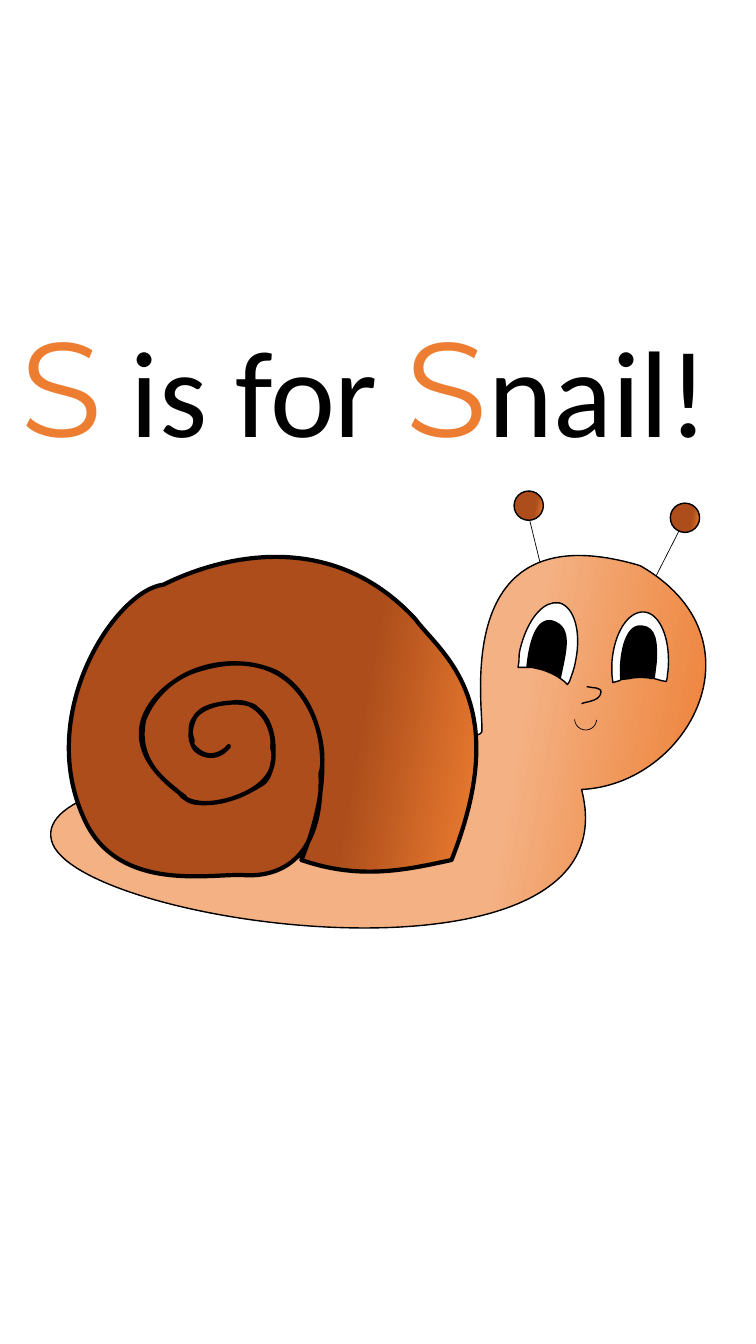
from dataclasses import dataclass
from math import cos, radians, sin

from lxml import etree
from pptx import Presentation
from pptx.dml.color import RGBColor
from pptx.enum.shapes import MSO_CONNECTOR, MSO_SHAPE
from pptx.enum.text import MSO_ANCHOR, MSO_AUTO_SIZE, PP_ALIGN
from pptx.oxml.ns import qn
from pptx.util import Pt

STRAIGHT = MSO_CONNECTOR.STRAIGHT
ELLIPSE, ARC = MSO_SHAPE.OVAL, MSO_SHAPE.ARC
TOP, CENTER, NO_AUTOFIT = MSO_ANCHOR.TOP, PP_ALIGN.CENTER, MSO_AUTO_SIZE.NONE

EMU_PER_PX = 9144  # 100 px to the inch
SLIDE_W, SLIDE_H = 750, 1333
CURVE_STEPS = 20


@dataclass(frozen=True)
class Theme:
    orange: str = "ED7D31"
    skin: tuple = ("ED7D31", "F4B183")
    shell: tuple = ("ED7D31", "AC4D1B")
    black: str = "000000"
    white: str = "FFFFFF"
    initial_font: str = "Montserrat"
    text_font: str = "Calibri"
    initial_size: int = 96
    text_size: int = 88
    thin: float = 0.5
    normal: float = 1
    thick: float = 3


# Outlines: a start point, then segments of two numbers (line) or six (Bézier curve).
BODY = [(478, 726), (481, 707, 443, 504, 635, 561), (761, 633, 684, 778, 577, 783),
        (633, 997, 70, 918, 51, 833), (31, 747, 475, 745, 478, 726)]
SHELL = [(273, 666), (226, 646, 163, 663, 143, 714), (133, 762, 176, 781, 180, 789),
         (189, 798, 219, 804, 261, 777), (274, 768, 278, 719, 255, 703),
         (247, 691, 177, 694, 191, 734), (187, 745, 213, 760, 227, 740),
         (230, 738, 212, 759, 195, 743), (183, 734, 192, 713, 195, 709),
         (199, 705, 204, 699, 229, 697), (258, 691, 273, 725, 270, 741),
         (284, 792, 188, 807, 183, 790), (93, 727, 167, 673, 195, 665),
         (307, 629, 327, 743, 318, 767), (321, 857, 273, 870, 242, 868),
         (210, 866, 116, 887, 83, 811), (35, 705, 116, 585, 162, 580),
         (218, 552, 328, 523, 412, 614), (436, 647, 511, 694, 448, 853),
         (402, 863, 357, 873, 299, 853), (343, 745, 309, 685, 273, 666)]
RIGHT_PUPIL = [(634, 621), (635, 620, 636, 620, 637, 621), (651, 622, 652, 638, 651, 657),
               (649, 673), (646, 673), (643, 672, 639, 672, 636, 672),
               (632, 672, 628, 672, 625, 673), (616, 674), (614, 656, 618, 623, 634, 621)]
RIGHT_WHITE = [(639, 607), (654, 608, 665, 632, 663, 662), (663, 665, 662, 669, 662, 672),
               (661, 676), (656, 675), (649, 673), (651, 657), (652, 638, 651, 622, 637, 621),
               (619, 618, 614, 655, 616, 674), (615, 675), (608, 677), (607, 668),
               (607, 665, 607, 661, 607, 658), (609, 628, 623, 606, 639, 607)]
LEFT_PUPIL = [(545, 616), (546, 616, 547, 616, 548, 616), (569, 622, 561, 647, 556, 672),
              (556, 673), (553, 671), (548, 668, 543, 666, 537, 664),
              (534, 663, 531, 663, 528, 662), (523, 662), (523, 660),
              (525, 642, 530, 616, 545, 616)]
LEFT_WHITE = [(549, 598), (551, 598, 553, 598, 555, 598), (570, 602, 577, 627, 571, 656),
              (570, 663, 567, 670, 565, 676), (563, 679), (560, 676), (556, 673), (556, 672),
              (561, 647, 569, 622, 548, 616), (531, 612, 525, 641, 523, 660), (523, 662),
              (519, 662), (514, 662), (515, 655), (515, 651, 515, 648, 516, 644),
              (522, 619, 535, 600, 549, 598)]
NOSE = [(582, 681), (589, 683, 598, 681, 596, 688), (594, 696, 580, 696, 577, 698)]
LEFT_EYE_TILT = 15.3


def px(*lengths):
    return [round(length * EMU_PER_PX) for length in lengths]


def extent(segments):
    """Return the top left and bottom right corners of an outline's box."""
    points = list(segments[0])
    for segment in segments[1:]:
        a, d = points[-1], segment[-1]
        if len(segment) == 3:
            b, c = segment[:2]
            for step in range(1, CURVE_STEPS):
                t = step / CURVE_STEPS
                u = 1 - t
                points.append(a * u**3 + 3 * b * u * u * t + 3 * c * u * t * t + d * t**3)
        points.append(d)
    xs, ys = [p.real for p in points], [p.imag for p in points]
    return complex(min(xs), min(ys)), complex(max(xs), max(ys))


def untilt(outline, degrees):
    """Turn an outline back so that rotating its box by degrees puts it in place."""
    turn = complex(cos(radians(degrees)), sin(radians(degrees)))
    upright = [[complex(x, y) / turn for x, y in zip(segment[::2], segment[1::2])]
               for segment in outline]
    middle = sum(extent(upright)) / 2
    return [[p - middle + middle * turn for p in segment] for segment in upright]


def write(paragraph, text, *, font, size, color):
    run = paragraph.add_run()
    run.text = text
    run.font.name = font
    run.font.size = Pt(size)
    run.font.color.rgb = RGBColor.from_string(color)


class Sketch:
    """Draws on one slide in one theme; the artwork goes into a group."""

    def __init__(self, slide, theme):
        self.slide, self.theme = slide, theme
        self.art = slide.shapes.add_group_shape().shapes

    def title(self, left, top, width, height, parts):
        title = self.slide.shapes.title
        title.left, title.top, title.width, title.height = px(left, top, width, height)
        frame = title.text_frame
        frame.word_wrap, frame.auto_size, frame.vertical_anchor = True, NO_AUTOFIT, TOP
        heading = frame.paragraphs[0]
        heading.alignment = CENTER
        for text, style in parts:
            write(heading, text, **style)

    def outline(self, item, width):
        item.line.color.rgb = RGBColor.from_string(self.theme.black)
        item.line.width = Pt(width)

    def finish(self, shape, fill, width):
        """Fill with one colour, a pair as a gradient, or nothing; then outline."""
        shape.shadow.inherit = False
        self.outline(shape, width)
        if fill is None:
            shape.fill.background()
        elif isinstance(fill, tuple):
            shape.fill.gradient()
            shape.fill.gradient_angle = 170
            for stop, color, position in zip(shape.fill.gradient_stops, fill, (0, 0.31)):
                stop.color.rgb = RGBColor.from_string(color)
                stop.position = position
        else:
            shape.fill.solid()
            shape.fill.fore_color.rgb = RGBColor.from_string(fill)

    def line(self, *ends):
        stalk = self.art.add_connector(STRAIGHT, *px(*ends))
        self.outline(stalk, self.theme.thin)
        etree.SubElement(stalk._element.spPr, qn("a:effectLst"))

    def preset(self, kind, box, fill, width):
        shape = self.art.add_shape(kind, *px(*box))
        self.finish(shape, fill, width)
        return shape

    def freeform(self, outline, fill, width, tilt=0):
        """Size a freeform by its box, then give it the outline's lines and curves."""
        segments = untilt(outline, tilt)
        first, last = extent(segments)
        builder = self.art.build_freeform(*px(first.real, first.imag))
        builder.add_line_segments([px(last.real, last.imag)], close=False)
        shape = builder.convert_to_shape()
        course = next(shape._element.iter(qn("a:path")))
        for command in list(course):
            course.remove(command)
        for index, segment in enumerate(segments):
            tag = "a:cubicBezTo" if len(segment) == 3 else "a:lnTo" if index else "a:moveTo"
            command = etree.SubElement(course, qn(tag))
            for point in segment:
                x, y = px(point.real - first.real, point.imag - first.imag)
                etree.SubElement(command, qn("a:pt"), x=str(x), y=str(y))
        if fill is not None:
            etree.SubElement(course, qn("a:close"))
        shape.rotation = tilt
        self.finish(shape, fill, width)


def main():
    deck = Presentation()
    deck.slide_width, deck.slide_height = px(SLIDE_W, SLIDE_H)
    theme = Theme()
    sketch = Sketch(deck.slides.add_slide(deck.slide_layouts[5]), theme)

    initial = dict(font=theme.initial_font, size=theme.initial_size, color=theme.orange)
    plain = dict(font=theme.text_font, size=theme.text_size, color=theme.black)
    sketch.title(-91, 296, 933, 172, [("S", initial), (" is for ", plain),
                                      ("S", initial), ("nail! ", plain)])

    for stalk in ((525, 514, 536, 559), (676, 522, 651, 571)):
        sketch.line(*stalk)
    for left, top in ((665, 499), (510, 487)):
        sketch.preset(ELLIPSE, (left, top, 29, 29), theme.shell, theme.normal)

    sketch.freeform(BODY, theme.skin, theme.normal)
    sketch.freeform(SHELL, theme.shell, theme.thick)
    for pupil, white, tilt in ((RIGHT_PUPIL, RIGHT_WHITE, 0),
                               (LEFT_PUPIL, LEFT_WHITE, LEFT_EYE_TILT)):
        sketch.freeform(pupil, theme.black, theme.normal, tilt)
        sketch.freeform(white, theme.white, theme.normal, tilt)
    sketch.freeform(NOSE, None, theme.normal)

    smile = sketch.preset(ARC, (570, 702, 22, 22), None, theme.thin)
    smile.adjustments[0], smile.adjustments[1] = 131.42, 18.55
    smile.rotation = 146.4

    deck.save("out.pptx")


if __name__ == "__main__":
    main()
